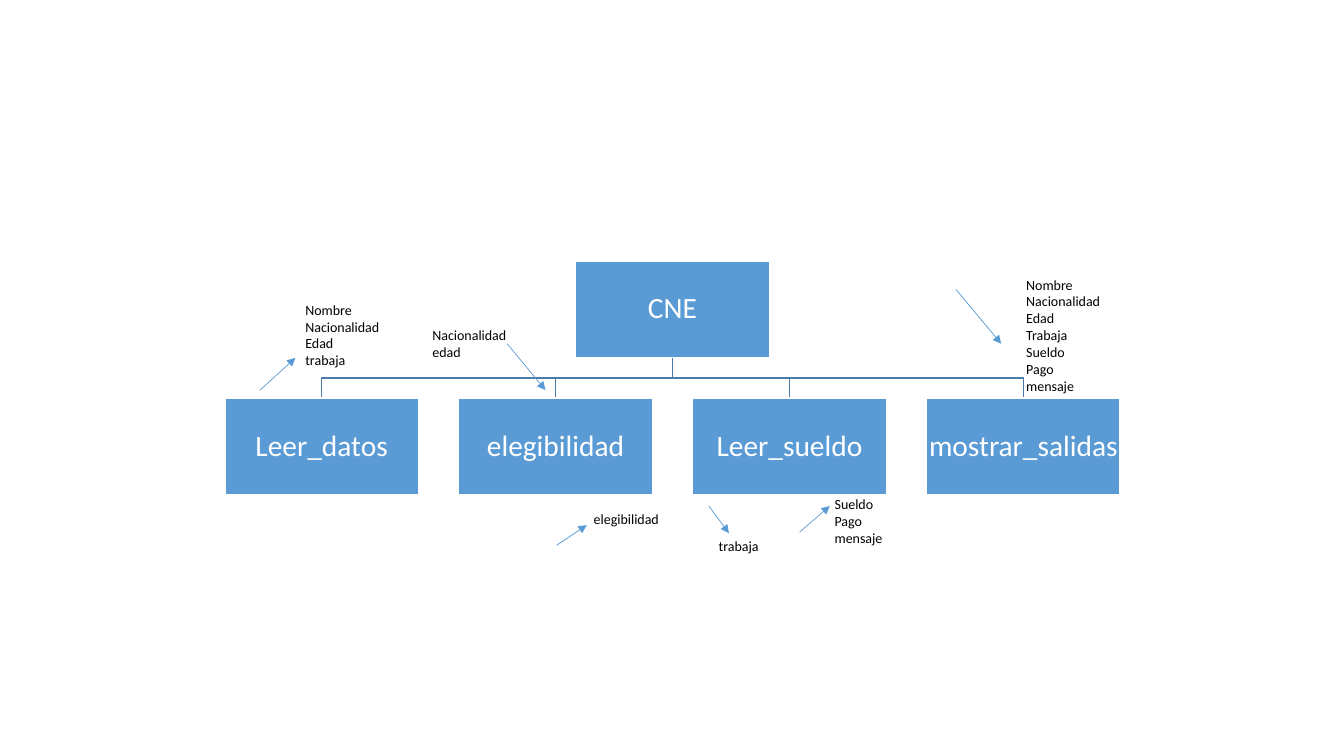
from dataclasses import dataclass

from lxml import etree
from pptx import Presentation
from pptx.dml.color import RGBColor
from pptx.enum.shapes import MSO_CONNECTOR, MSO_SHAPE
from pptx.enum.text import MSO_ANCHOR, MSO_AUTO_SIZE, PP_ALIGN
from pptx.oxml.ns import qn
from pptx.util import Inches, Pt

RECTANGLE = MSO_SHAPE.RECTANGLE
STRAIGHT = MSO_CONNECTOR.STRAIGHT
CENTER, LEFT = PP_ALIGN.CENTER, PP_ALIGN.LEFT
MIDDLE, TOP = MSO_ANCHOR.MIDDLE, MSO_ANCHOR.TOP
GROW = MSO_AUTO_SIZE.SHAPE_TO_FIT_TEXT


@dataclass(frozen=True)
class Theme:
    font: str = "Calibri"
    module_size: int = 21
    data_size: int = 10
    blue: RGBColor = RGBColor(0x5B, 0x9B, 0xD5)
    branch: RGBColor = RGBColor(0x49, 0x7C, 0xAB)
    white: RGBColor = RGBColor(0xFF, 0xFF, 0xFF)
    black: RGBColor = RGBColor(0, 0, 0)


THEME = Theme()


def write(frame, text, size, color, align=LEFT, anchor=TOP, spacing=1.0):
    """Write one paragraph per line of text."""
    frame.word_wrap = True
    frame.vertical_anchor = anchor
    frame.text = text
    for paragraph in frame.paragraphs:
        paragraph.alignment = align
        paragraph.line_spacing = spacing
        paragraph.font.name = THEME.font
        paragraph.font.size = Pt(size)
        paragraph.font.color.rgb = color


prs = Presentation()
prs.slide_width, prs.slide_height = Inches(13.33), Inches(7.5)
slide = prs.slides.add_slide(prs.slide_layouts[6])
shapes = slide.shapes

# Chart geometry: one root above four evenly spaced modules
MODULE_W, MODULE_H = 1.92, 0.96
ROOT_X, ROOT_Y = 5.71, 2.59
FIRST_X, MODULE_Y, STEP = 2.23, 3.95, 2.32
names = ["Leer_datos", "elegibilidad", "Leer_sueldo", "mostrar_salidas"]
modules = [("CNE", ROOT_X, ROOT_Y)]
modules += [(name, FIRST_X + i * STEP, MODULE_Y) for i, name in enumerate(names)]

# Branches from the root to each module
root_center = ROOT_X + MODULE_W / 2
root_bottom = ROOT_Y + MODULE_H
bus_y = (root_bottom + MODULE_Y) / 2
for _, left, _ in reversed(modules[1:]):
    center = left + MODULE_W / 2
    route = [(root_center, bus_y), (center, bus_y), (center, MODULE_Y)]
    builder = shapes.build_freeform(Inches(root_center), Inches(root_bottom))
    builder.add_line_segments([(Inches(x), Inches(y)) for x, y in route], close=False)
    branch = builder.convert_to_shape()
    branch.shadow.inherit = False
    branch.fill.background()
    branch.line.color.rgb = THEME.branch
    branch.line.width = Pt(1)

# Modules
for name, left, top in modules:
    module = shapes.add_shape(
        RECTANGLE, Inches(left), Inches(top), Inches(MODULE_W), Inches(MODULE_H))
    module.shadow.inherit = False
    module.fill.solid()
    module.fill.fore_color.rgb = THEME.blue
    module.line.color.rgb = THEME.white
    module.line.width = Pt(1)
    frame = module.text_frame
    frame.margin_left = frame.margin_right = Inches(0.01)
    frame.margin_top = frame.margin_bottom = Inches(0.01)
    write(frame, name, THEME.module_size, THEME.white,
          align=CENTER, anchor=MIDDLE, spacing=0.9)

# Data passed between modules: arrow start, arrow end, label box, label
flows = [
    ((2.58, 3.87), (2.93, 3.55), (2.93, 2.94, 1.01, 0.77),
     "Nombre\nNacionalidad\nEdad\ntrabaja"),
    ((5.03, 3.41), (5.41, 3.87), (4.19, 3.19, 0.93, 0.44), "Nacionalidad\nedad"),
    ((5.52, 5.41), (5.82, 5.21), (5.79, 5.02, 0.88, 0.27), "elegibilidad"),
    ((7.03, 5.02), (7.23, 5.29), (7.03, 5.28, 0.73, 0.27), "trabaja"),
    ((7.93, 5.28), (8.23, 5.02), (8.18, 4.87, 0.76, 0.61), "Sueldo\nPago\nmensaje"),
    ((9.48, 2.87), (9.93, 3.41), (10.08, 2.69, 1.27, 1.28),
     "Nombre\nNacionalidad\nEdad\nTrabaja\nSueldo\nPago\nmensaje"),
]
for start, end, box, data in flows:
    arrow = shapes.add_connector(STRAIGHT, *map(Inches, start + end))
    arrow.line.color.rgb = THEME.blue
    arrow.line.width = Pt(0.5)
    etree.SubElement(arrow.line._get_or_add_ln(), qn("a:tailEnd"), type="triangle")
    etree.SubElement(arrow._element.spPr, qn("a:effectLst"))

    label = shapes.add_textbox(*map(Inches, box))
    write(label.text_frame, data, THEME.data_size, THEME.black)
    label.text_frame.auto_size = GROW

prs.save("out.pptx")
